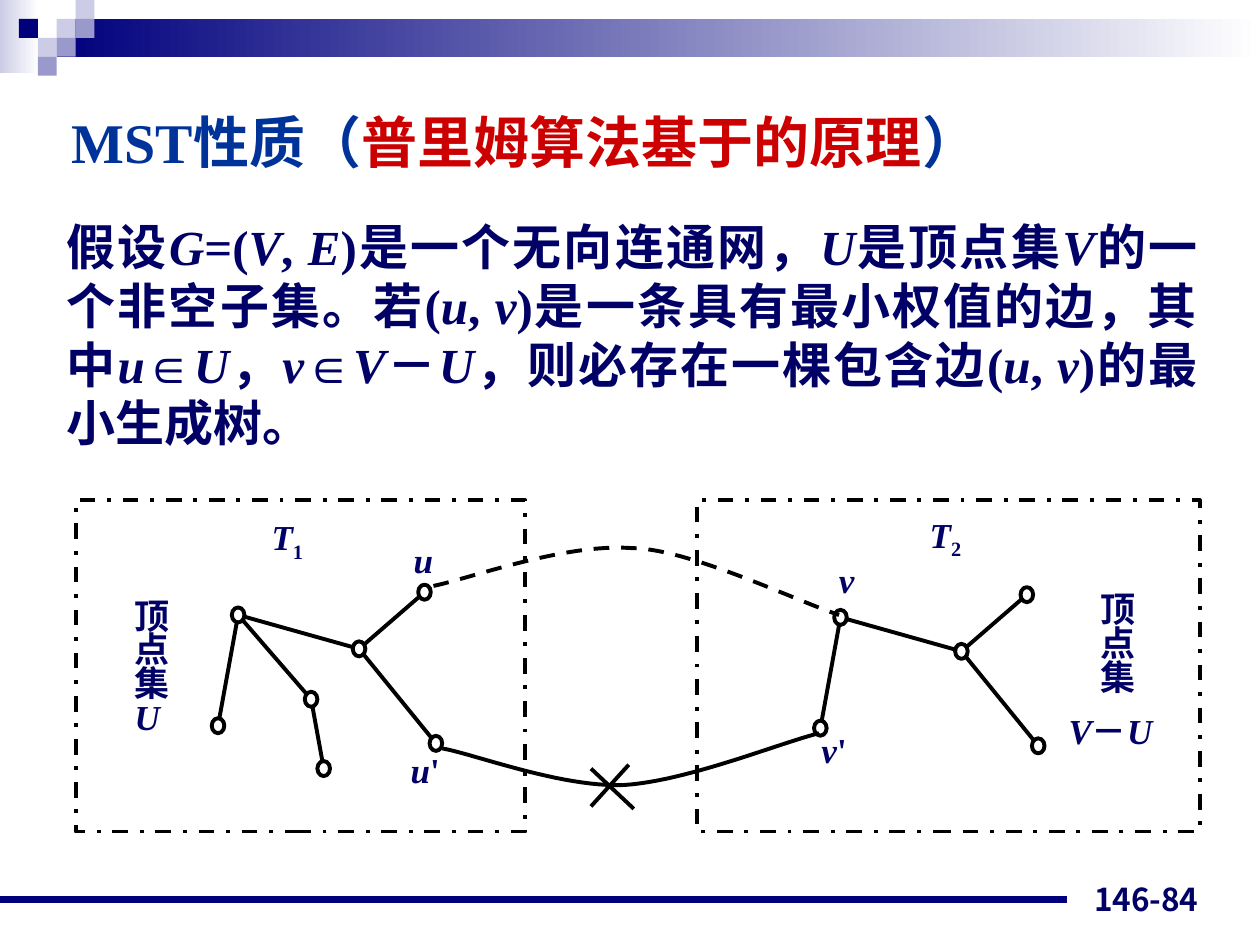
import math
from dataclasses import dataclass

from lxml import etree
from pptx import Presentation
from pptx import util as u
from pptx.dml.color import RGBColor
from pptx.enum import dml, shapes, text
from pptx.oxml.ns import qn

Pt = u.Pt
AL = text.PP_ALIGN


@dataclass(frozen=True)
class Theme:
    navy: str = "00007D"
    lilac: str = "CCCCE6"
    violet: str = "9999CC"
    white: str = "FFFFFF"
    ink: str = "000066"
    blue: str = "003399"
    red: str = "CC0000"
    black: str = "000000"
    latin: str = "Times New Roman"
    sans: str = "Noto Sans CJK JP"
    east: str = "Noto Sans CJK SC"
    title: float = 32
    body: float = 28
    label: float = 20
    page: float = 18
    stroke: float = 2.25


T = Theme()


@dataclass(frozen=True)
class Box:
    x: float
    y: float
    w: float
    h: float

    def emu(self) -> tuple:
        return Pt(self.x), Pt(self.y), Pt(self.w), Pt(self.h)


@dataclass(frozen=True)
class Run:
    text: str
    color: str = T.ink
    font: str = T.latin
    italic: bool = False
    sub: bool = False


@dataclass(frozen=True)
class Label:
    box: Box
    markup: str
    align: AL = AL.CENTER
    spacing: float = 0.72


def marked(markup: str) -> list[Run]:
    """Text between asterisks is italic; text after an underscore is subscript."""
    main, _, sub = markup.partition("_")
    runs = [Run(part, italic=i % 2 == 1) for i, part in enumerate(main.split("*")) if part]
    return runs + ([Run(sub, sub=True)] if sub else [])


def write(sp, runs: list[Run], size: float, align: AL, inset: tuple = (0, 0),
          spacing: float = 1.0, anchor=text.MSO_ANCHOR.TOP) -> None:
    tf = sp.text_frame
    tf.word_wrap = True
    tf.auto_size = text.MSO_AUTO_SIZE.NONE
    tf.vertical_anchor = anchor
    tf.margin_left = tf.margin_right = Pt(inset[0])
    tf.margin_top = tf.margin_bottom = Pt(inset[1])
    p = tf.paragraphs[0]
    p.alignment, p.line_spacing, p.space_before = align, spacing, Pt(0)
    for run in runs:
        r = p.add_run()
        r.text = run.text
        f = r.font
        f.name, f.size, f.bold, f.italic = run.font, Pt(size), True, run.italic
        f.color.rgb = RGBColor.from_string(run.color)
        rpr = r._r.get_or_add_rPr()
        east = T.east if run.font == T.latin else run.font
        etree.SubElement(rpr, qn("a:ea")).set("typeface", east)
        if run.sub:
            rpr.set("baseline", "-25000")


def stroke(sp, color: str = T.black, width: float = T.stroke, dash=None) -> None:
    sp.line.color.rgb = RGBColor.from_string(color)
    sp.line.width = Pt(width)
    if dash:
        sp.line.dash_style = dash


def filled(s, box: Box, *colors: str) -> None:
    """One colour gives a solid fill, two a left-to-right gradient."""
    sp = s.shapes.add_shape(shapes.MSO_SHAPE.RECTANGLE, *box.emu())
    sp.shadow.inherit = False
    sp.line.fill.background()
    if len(colors) == 1:
        sp.fill.solid()
        sp.fill.fore_color.rgb = RGBColor.from_string(colors[0])
        return
    sp.fill.gradient()
    sp.fill.gradient_angle = 0
    for i, (stop, color) in enumerate(zip(sp.fill.gradient_stops, colors)):
        stop.color.rgb = RGBColor.from_string(color)
        stop.position = float(i)


def outline(s, kind, box: Box, dash=None) -> None:
    sp = s.shapes.add_shape(kind, *box.emu())
    sp.shadow.inherit = False
    sp.fill.background()
    stroke(sp, dash=dash)


def line(s, a: tuple, b: tuple, color: str = T.black, width: float = T.stroke) -> None:
    c = s.shapes.add_connector(shapes.MSO_CONNECTOR.STRAIGHT, *map(Pt, (*a, *b)))
    stroke(c, color, width)
    etree.SubElement(c._element.spPr, qn("a:effectLst"))


def curve(s, points: list[tuple], dash=None, steps: int = 24) -> None:
    """Chain of cubic Bezier arcs: a start, then two controls and an end per arc."""
    track = []
    for k in range(0, len(points) - 1, 3):
        arc = points[k:k + 4]
        for i in range(1, steps + 1):
            t = i / steps
            weights = [math.comb(3, n) * t**n * (1 - t)**(3 - n) for n in range(4)]
            track.append(tuple(Pt(sum(w * pt[d] for w, pt in zip(weights, arc)))
                               for d in (0, 1)))
    fb = s.shapes.build_freeform(*map(Pt, points[0]))
    fb.add_line_segments(track, close=False)
    sp = fb.convert_to_shape()
    sp.shadow.inherit = False
    sp.fill.background()
    stroke(sp, dash=dash)


RX, RY = 3.6, 4.3  # vertex radii
NODES = {"root": (136.1, 351.4), "leaf": (124.6, 414.7), "hub": (205.2, 370.8),
         "upper": (242.6, 338.4), "lower": (249.1, 424.8),
         "mid": (177.8, 399.6), "tip": (185, 439.2)}
EDGES = [("root", "leaf"), ("root", "hub"), ("hub", "upper"), ("hub", "lower"),
         ("root", "mid"), ("mid", "tip")]


def rim(a: tuple, b: tuple) -> tuple:
    """Point on the rim of vertex a facing b."""
    dx, dy = b[0] - a[0], b[1] - a[1]
    k = 1 / math.hypot(dx / RX, dy / RY)
    return a[0] + k * dx, a[1] + k * dy


def tree(s, dx: float, dy: float, omit: tuple = ()) -> None:
    nodes = {n: (x + dx, y + dy) for n, (x, y) in NODES.items() if n not in omit}
    for a, b in EDGES:
        if a in nodes and b in nodes:
            line(s, rim(nodes[a], nodes[b]), rim(nodes[b], nodes[a]))
    for x, y in nodes.values():
        outline(s, shapes.MSO_SHAPE.OVAL, Box(x - RX, y - RY, 2 * RX, 2 * RY))


CELL = 10.8
MOSAIC = [(3, 1, T.lilac), (4, 0, T.lilac), (4, 1, T.violet), (2, 2, T.lilac),
          (1, 1, T.navy), (3, 2, T.violet), (2, 3, T.violet)]
LABELS = [
    Label(Box(77, 344.2, 24.5, 78.5), "顶点集*U*", AL.JUSTIFY, 0.8),
    Label(Box(628.6, 340.6, 20.2, 60.5), "顶点集", AL.JUSTIFY, 0.8),
    Label(Box(610.6, 404.6, 76.3, 24.5), "*V*－*U*", AL.JUSTIFY, 1.04),
    Label(Box(231.8, 313.9, 20.2, 18), "*u*"),
    Label(Box(232.6, 435.6, 20.9, 15.1), "*u*'", spacing=0.64),
    Label(Box(473, 325.4, 21.6, 16.6), "*v*"),
    Label(Box(464.4, 422.6, 24.5, 18), "*v*'"),
    Label(Box(143.3, 298.8, 41.8, 18), "*T*_1"),
    Label(Box(519.8, 297.4, 41, 18), "*T*_2"),
]
BODY = ("假设*G*=(*V*, *E*)是一个无向连通网，*U*是顶点集*V*的一个非空子集。若(*u*, *v*)"
        "是一条具有最小权值的边，其中*u*∈*U*，*v*∈*V*－*U*，则必存在一棵包含边(*u*, *v*)"
        "的最小生成树。")


def main() -> None:
    prs = Presentation()
    prs.slide_width, prs.slide_height = Pt(720), Pt(540)
    s = prs.slides.add_slide(prs.slide_layouts[5])

    title = s.shapes.title
    title.left, title.top, title.width, title.height = Box(33.8, 57.6, 577.4, 46).emu()
    write(title, [Run("MST", T.blue), Run("性质（", T.blue, T.east),
                  Run("普里姆算法基于的原理", T.red, T.sans), Run("）", T.blue, T.east)],
          T.title, AL.LEFT, (7.2, 3.6))

    filled(s, Box(0, 0, 22.3, 41.8), T.lilac, T.white)
    filled(s, Box(3 * CELL, CELL, 720 - 3 * CELL, 2 * CELL), T.navy, T.white)
    for col, row, color in MOSAIC:
        filled(s, Box(col * CELL, row * CELL, CELL, CELL), color)
    line(s, (0, 514), (609.8, 514), T.navy, 4.5)

    page = s.shapes.add_textbox(*Box(524.2, 491.8, 167.8, 36).emu())
    write(page, [Run("146-84", font=T.sans)], T.page, AL.RIGHT, (7.2, 3.6),
          anchor=text.MSO_ANCHOR.BOTTOM)
    body = s.shapes.add_textbox(*Box(31, 120.2, 660.2, 141.8).emu())
    write(body, marked(BODY), T.body, AL.JUSTIFY, (7.2, 3.6))

    for x, w in ((43.2, 257), (398.2, 287.3)):
        outline(s, shapes.MSO_SHAPE.RECTANGLE, Box(x, 285.8, w, 189.4),
                dml.MSO_LINE.DASH_DOT)
    tree(s, 0, 0)
    tree(s, 344.2, 1.4, omit=("mid", "tip"))
    curve(s, [(247.7, 334.8), (266.4, 331.2), (322.6, 310.3), (360.7, 313.2),
              (393.1, 313.2), (455, 343.4), (479.5, 351.4)], dml.MSO_LINE.DASH)
    curve(s, [(252.7, 427.7), (270, 430.6), (320.4, 450), (356.4, 448.6),
              (392.4, 446.4), (445, 424.8), (468, 419)])
    line(s, (337.7, 439.2), (362.2, 462.2))
    line(s, (359.3, 437), (337.7, 460.8))
    for label in LABELS:
        sp = s.shapes.add_textbox(*label.box.emu())
        write(sp, marked(label.markup), T.label, label.align, spacing=label.spacing)
    prs.save("out.pptx")


if __name__ == "__main__":
    main()
